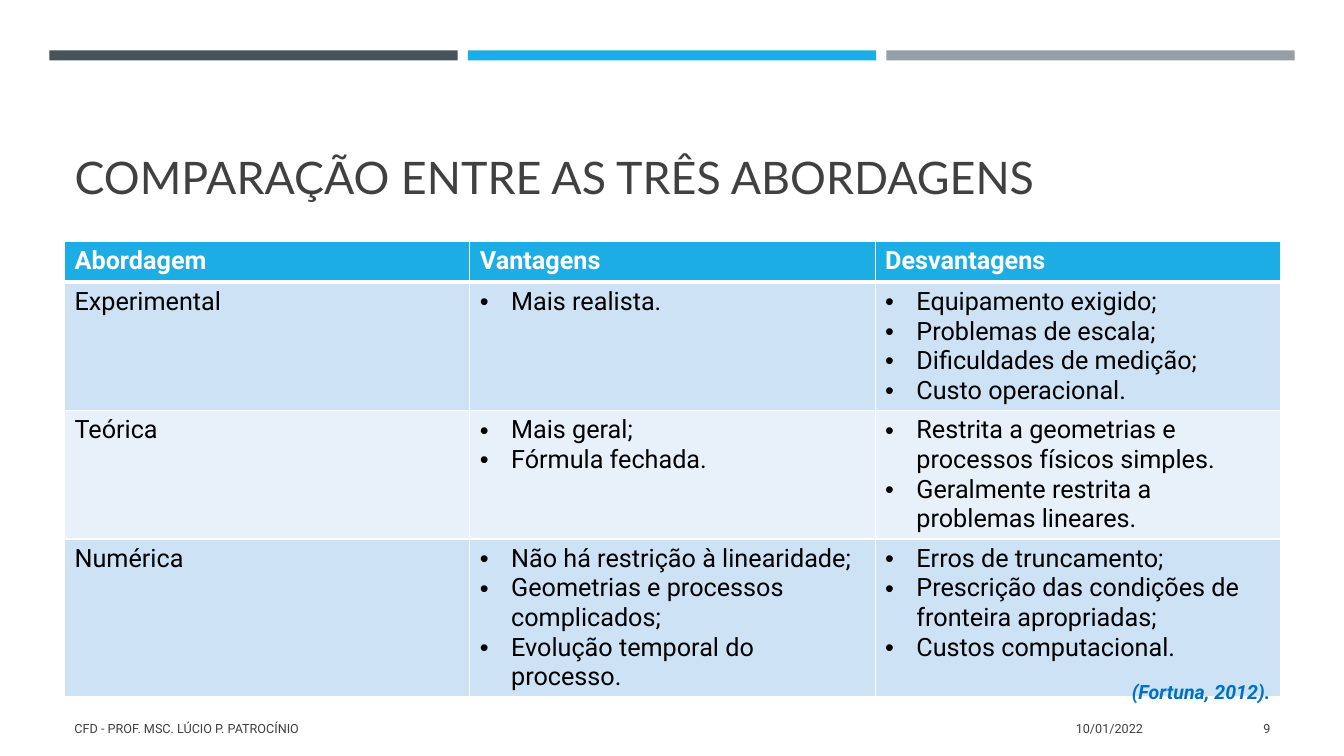
from dataclasses import dataclass

from lxml.etree import SubElement
from pptx import Presentation
from pptx.dml.color import RGBColor
from pptx.enum.shapes import MSO_SHAPE
from pptx.enum.text import MSO_ANCHOR, MSO_AUTO_SIZE, PP_ALIGN
from pptx.oxml.ns import qn
from pptx.slide import Slide
from pptx.table import _Cell as Cell
from pptx.text.text import TextFrame
from pptx.util import Inches, Length, Pt

COLORS = {
    "dark": "465359", "blue": "1CADE4", "gray": "969FA7",
    "title": "404040", "white": "FFFFFF", "black": "000000",
    "band": "CDE3F5", "light": "E8F1FA", "cite": "0070C0",
}

# Grid: twelve columns between the margins, rows of one line of 18 pt text
LEFT, WIDTH, COLS = 0.64, 12.06, 12
TOP, LINE, PAD, HEAD = 2.39, 0.293, 0.1, 0.41
BAR, STEP = 4.05, 4.15
INDENT = 0.31


@dataclass
class Note:
    text: str
    col: float
    span: float
    top: float
    high: float
    size: int = 9
    color: str = "title"
    align: PP_ALIGN = PP_ALIGN.RIGHT
    strong: bool = False


@dataclass
class Method:
    name: str
    pros: list[str]
    cons: list[str]
    lines: int
    fill: str


HEADS = ["Abordagem", "Vantagens", "Desvantagens"]
METHODS = [
    Method("Experimental", ["Mais realista."],
           ["Equipamento exigido;", "Problemas de escala;",
            "Dificuldades de medição;", "Custo operacional."], 4, "band"),
    Method("Teórica", ["Mais geral;", "Fórmula fechada."],
           ["Restrita a geometrias e processos físicos simples.",
            "Geralmente restrita a problemas lineares."], 4, "light"),
    Method("Numérica",
           ["Não há restrição à linearidade;",
            "Geometrias e processos complicados;",
            "Evolução temporal do processo."],
           ["Erros de truncamento;",
            "Prescrição das condições de fronteira apropriadas;",
            "Custos computacional."], 5, "band"),
]
NOTES = [
    Note("10/01/2022", 7.64, 3.1, 7.03, 0.4),
    Note("CFD - PROF. MSC. LÚCIO P. PATROCÍNIO", 0, 7.52, 7.03, 0.4,
         align=PP_ALIGN.LEFT),
    Note("9", 10.86, 1.14, 7.03, 0.4),
    Note("(Fortuna, 2012).", 5.36, 6.64, 6.69, 0.34, 14, "cite", strong=True),
]


def tint(name: str) -> RGBColor:
    return RGBColor.from_string(COLORS[name])


def across(cols: float) -> Length:
    return Inches(cols * WIDTH / COLS)


def style(frame: TextFrame, size: int, color: str, face: str = "Roboto",
          bold: bool = False, slant: bool = False,
          align: PP_ALIGN = PP_ALIGN.LEFT) -> None:
    for para in frame.paragraphs:
        para.alignment = align
        for run in para.runs:
            font = run.font
            font.name, font.size = face, Pt(size)
            font.bold, font.italic = bold, slant
            font.color.rgb = tint(color)


def border(cell: Cell, base: int) -> None:
    props = cell._tc.get_or_add_tcPr()
    sides = {"a:lnL": 1, "a:lnR": 1, "a:lnT": 1, "a:lnB": base}
    for spot, (tag, width) in enumerate(sides.items()):
        line = SubElement(props, qn(tag), w=str(Pt(width)))
        fill = SubElement(line, qn("a:solidFill"))
        SubElement(fill, qn("a:srgbClr"), val=COLORS["white"])
        props.insert(spot, line)


def bullet(frame: TextFrame) -> None:
    for para in frame.paragraphs:
        props = para._p.get_or_add_pPr()
        props.set("marL", str(Inches(INDENT)))
        props.set("indent", str(Inches(-INDENT)))
        SubElement(props, qn("a:buFont"), typeface="Arial")
        SubElement(props, qn("a:buChar"), char="•")


def write(cell: Cell, items: list[str], fill: str, head: bool = False,
          dots: bool = False) -> None:
    cell.text_frame.text = "\n".join(items)
    style(cell.text_frame, 18, "white" if head else "black", bold=head)
    if dots:
        bullet(cell.text_frame)
    cell.fill.solid()
    cell.fill.fore_color.rgb = tint(fill)
    border(cell, 3 if head else 1)


def draw_bars(slide: Slide) -> None:
    for spot, name in enumerate(["dark", "blue", "gray"]):
        bar = slide.shapes.add_shape(
            MSO_SHAPE.RECTANGLE, Inches(0.49 + spot * STEP), Inches(0.5),
            Inches(BAR), Inches(0.1))
        bar.shadow.inherit = False
        bar.fill.solid()
        bar.fill.fore_color.rgb = tint(name)
        bar.line.fill.background()


def draw_title(slide: Slide) -> None:
    title = slide.shapes.title
    title.left, title.top = Inches(LEFT), Inches(0.77)
    title.width, title.height = across(COLS), Inches(1.3)
    frame = title.text_frame
    frame.text = "COMPARAÇÃO ENTRE AS TRÊS ABORDAGENS"
    frame.auto_size = MSO_AUTO_SIZE.NONE
    frame.vertical_anchor = MSO_ANCHOR.BOTTOM
    style(frame, 32, "title", "Lato")


def draw_table(slide: Slide) -> None:
    highs = [HEAD] + [PAD + LINE * method.lines for method in METHODS]
    table = slide.shapes.add_table(
        len(highs), len(HEADS), Inches(LEFT), Inches(TOP),
        across(COLS), Inches(sum(highs))).table
    for row, high in zip(table.rows, highs):
        row.height = Inches(high)
    for spot, head in enumerate(HEADS):
        table.columns[spot].width = across(COLS / len(HEADS))
        write(table.cell(0, spot), [head], "blue", head=True)
    for row, method in enumerate(METHODS, 1):
        write(table.cell(row, 0), [method.name], method.fill)
        write(table.cell(row, 1), method.pros, method.fill, dots=True)
        write(table.cell(row, 2), method.cons, method.fill, dots=True)


def draw_note(slide: Slide, note: Note) -> None:
    box = slide.shapes.add_textbox(
        Inches(LEFT) + across(note.col), Inches(note.top),
        across(note.span), Inches(note.high))
    frame = box.text_frame
    frame.word_wrap = True
    frame.vertical_anchor = MSO_ANCHOR.MIDDLE
    frame.text = note.text
    style(frame, note.size, note.color, bold=note.strong, slant=note.strong,
          align=note.align)


def main() -> None:
    deck = Presentation()
    deck.slide_width, deck.slide_height = Inches(13.33), Inches(7.5)
    slide = deck.slides.add_slide(deck.slide_layouts.get_by_name("Title Only"))
    draw_bars(slide)
    draw_title(slide)
    draw_table(slide)
    for note in NOTES:
        draw_note(slide, note)
    deck.save("out.pptx")


if __name__ == "__main__":
    main()
